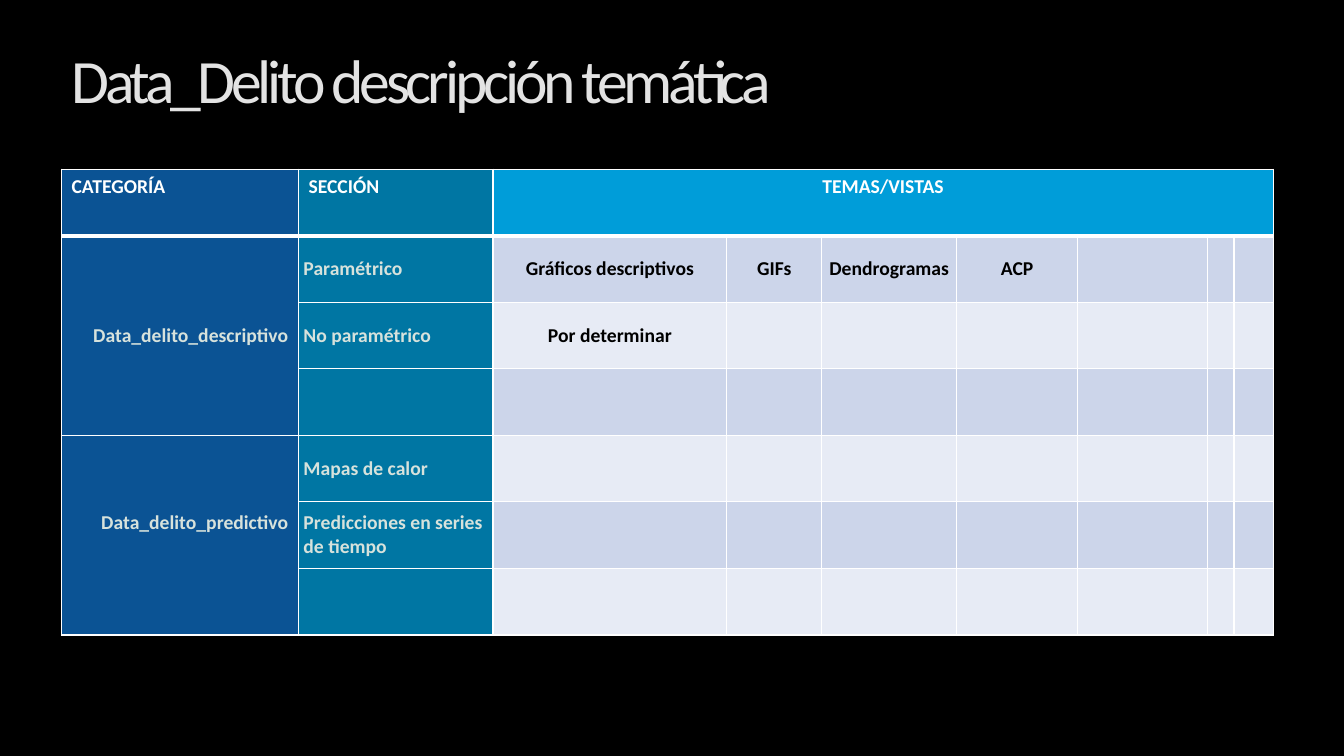
"""Build the thematic description slide with its table of categories, sections and views."""
from dataclasses import dataclass
from typing import Any

from lxml import etree
from pptx import Presentation
from pptx.dml.color import RGBColor
from pptx.enum.text import MSO_ANCHOR, PP_ALIGN
from pptx.oxml.ns import qn
from pptx.table import Table, _Cell
from pptx.util import Inches, Pt

TOP, MIDDLE = MSO_ANCHOR.TOP, MSO_ANCHOR.MIDDLE
LEFT, CENTER, RIGHT = PP_ALIGN.LEFT, PP_ALIGN.CENTER, PP_ALIGN.RIGHT

BLACK = RGBColor(0x00, 0x00, 0x00)
WHITE = RGBColor(0xFF, 0xFF, 0xFF)
TITLE_GREY = RGBColor(0xE3, 0xE3, 0xE3)
PALE_GREEN = RGBColor(0xD7, 0xE2, 0xDC)
NAVY = RGBColor(0x0B, 0x53, 0x94)
TEAL = RGBColor(0x00, 0x76, 0xA3)
SKY = RGBColor(0x00, 0x9D, 0xD9)
BAND_DARK = RGBColor(0xCC, 0xD5, 0xEA)
BAND_LIGHT = RGBColor(0xE7, 0xEB, 0xF5)

FONT = "Calibri"
COLUMN_WIDTHS = (2.35, 1.93, 2.32, 0.94, 1.34, 1.2, 1.29, 0.26, 0.39)
ROW_HEIGHT = 0.66
ROW_COUNT = 7
CATEGORY_COLUMN, SECTION_COLUMN, FIRST_VIEW_COLUMN = 0, 1, 2
CATEGORY_SPAN = 3
THIN, THICK = 1, 3


@dataclass(frozen=True)
class CellStyle:
    color: RGBColor
    align: PP_ALIGN
    anchor: MSO_ANCHOR
    margins: tuple[float, float, float, float] = (0.1, 0.05, 0.1, 0.05)


@dataclass(frozen=True)
class Entry:
    row: int
    column: int
    text: str
    style: CellStyle


HEADING = CellStyle(WHITE, LEFT, TOP)
VIEWS_HEADING = CellStyle(WHITE, CENTER, TOP)
CATEGORY = CellStyle(PALE_GREEN, RIGHT, MIDDLE)
RAISED_CATEGORY = CellStyle(PALE_GREEN, RIGHT, MIDDLE, (0.1, 0.05, 0.1, 0.29))
SECTION = CellStyle(PALE_GREEN, LEFT, MIDDLE, (0.05, 0.05, 0.05, 0.05))
VIEW = CellStyle(BLACK, CENTER, MIDDLE, (0, 0, 0, 0))

ENTRIES = (
    Entry(0, 0, "CATEGORÍA", HEADING),
    Entry(0, 1, "SECCIÓN", HEADING),
    Entry(0, 2, "TEMAS/VISTAS", VIEWS_HEADING),
    Entry(1, 0, "Data_delito_descriptivo", CATEGORY),
    Entry(1, 1, "Paramétrico", SECTION),
    Entry(1, 2, "Gráficos descriptivos", VIEW),
    Entry(1, 3, "GIFs", VIEW),
    Entry(1, 4, "Dendrogramas", VIEW),
    Entry(1, 5, "ACP", VIEW),
    Entry(2, 1, "No paramétrico", SECTION),
    Entry(2, 2, "Por determinar", VIEW),
    Entry(4, 0, "Data_delito_predictivo", RAISED_CATEGORY),
    Entry(4, 1, "Mapas de calor", SECTION),
    Entry(5, 1, "Predicciones en series de tiempo", SECTION),
)


def apply_format(target: Any, values: dict[str, Any]) -> None:
    for attribute, value in values.items():
        setattr(target, attribute, value)


def cell_fill(row: int, column: int) -> RGBColor:
    if column == CATEGORY_COLUMN:
        return NAVY
    if column == SECTION_COLUMN:
        return TEAL
    if row == 0:
        return SKY
    return BAND_DARK if row % 2 else BAND_LIGHT


def add_borders(cell: _Cell, row: int) -> None:
    widths = {
        "a:lnL": THIN,
        "a:lnR": THIN,
        "a:lnT": THICK if row == 1 else THIN,
        "a:lnB": THICK if row == 0 else THIN,
    }
    properties = cell._tc.get_or_add_tcPr()
    for position, (tag, width) in enumerate(widths.items()):
        line = etree.Element(qn(tag), w=str(Pt(width)))
        fill = etree.SubElement(line, qn("a:solidFill"))
        etree.SubElement(fill, qn("a:srgbClr"), val=str(WHITE))
        properties.insert(position, line)


def write_entry(table: Table, entry: Entry) -> None:
    cell, style = table.cell(entry.row, entry.column), entry.style
    left, top, right, bottom = (Inches(margin) for margin in style.margins)
    apply_format(cell, {
        "vertical_anchor": style.anchor,
        "margin_left": left,
        "margin_top": top,
        "margin_right": right,
        "margin_bottom": bottom,
    })
    paragraph = cell.text_frame.paragraphs[0]
    paragraph.alignment = style.align
    run = paragraph.add_run()
    run.text = entry.text
    apply_format(run.font, {"name": FONT, "size": Pt(14), "bold": True})
    run.font.color.rgb = style.color


def add_title(slide: Any) -> None:
    title = slide.shapes.add_textbox(Inches(0.61), Inches(0.41), Inches(7.93), Inches(0.84))
    apply_format(title.text_frame, {"word_wrap": True, "vertical_anchor": MIDDLE})
    paragraph = title.text_frame.paragraphs[0]
    paragraph.line_spacing = 0.9
    run = paragraph.add_run()
    run.text = "Data_Delito descripción temática"
    apply_format(run.font, {"name": FONT, "size": Pt(44)})
    run.font.color.rgb = TITLE_GREY
    run._r.get_or_add_rPr().set("spc", "-300")


def add_theme_table(slide: Any) -> None:
    table = slide.shapes.add_table(
        ROW_COUNT, len(COLUMN_WIDTHS), Inches(0.61), Inches(1.68),
        Inches(sum(COLUMN_WIDTHS)), Inches(ROW_COUNT * ROW_HEIGHT),
    ).table
    for column, width in zip(table.columns, COLUMN_WIDTHS):
        column.width = Inches(width)
    for row_index, row in enumerate(table.rows):
        row.height = Inches(ROW_HEIGHT)
        for column_index, cell in enumerate(row.cells):
            cell.fill.solid()
            cell.fill.fore_color.rgb = cell_fill(row_index, column_index)
            add_borders(cell, row_index)
    table.cell(0, FIRST_VIEW_COLUMN).merge(table.cell(0, len(COLUMN_WIDTHS) - 1))
    for first_row in range(1, ROW_COUNT, CATEGORY_SPAN):
        last_cell = table.cell(first_row + CATEGORY_SPAN - 1, CATEGORY_COLUMN)
        table.cell(first_row, CATEGORY_COLUMN).merge(last_cell)
    for entry in ENTRIES:
        write_entry(table, entry)


def main() -> None:
    presentation = Presentation()
    apply_format(presentation, {"slide_width": Inches(13.33), "slide_height": Inches(7.5)})
    slide = presentation.slides.add_slide(presentation.slide_layouts[6])
    slide.background.fill.solid()
    slide.background.fill.fore_color.rgb = BLACK
    add_title(slide)
    add_theme_table(slide)
    presentation.save("out.pptx")


if __name__ == "__main__":
    main()
